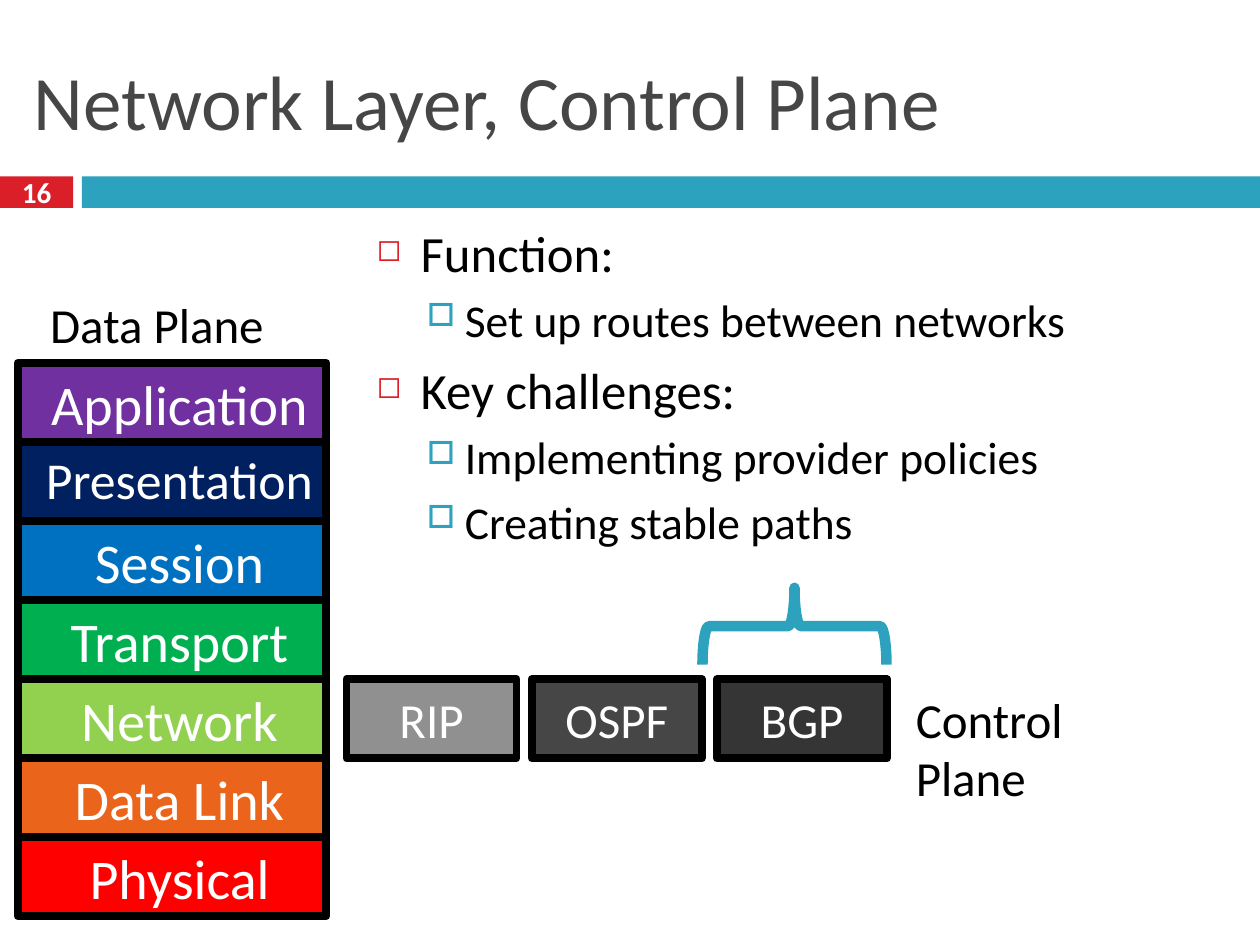
"""Build the slide on the network layer's control plane."""
from lxml import etree
from pptx import Presentation
from pptx.dml.color import RGBColor
from pptx.enum import shapes, text
from pptx.oxml import ns
from pptx.util import Inches, Pt

RECT = shapes.MSO_SHAPE.RECTANGLE
MID, TOP = text.MSO_ANCHOR.MIDDLE, text.MSO_ANCHOR.TOP
LEFT, CENTER = text.PP_ALIGN.LEFT, text.PP_ALIGN.CENTER
RED, TEAL, GREY = "DA1F28", "2DA2BF", "464646"
rgb = RGBColor.from_string

deck = Presentation()
deck.slide_width, deck.slide_height = Inches(10), Inches(7.5)
slide = deck.slides.add_slide(deck.slide_layouts[6])


def draw(kind, x, y, w, h, fill=None, line=None, wide=4.5):
    item = slide.shapes.add_shape(kind, Inches(x), Inches(y), Inches(w), Inches(h))
    item.shadow.inherit = False
    if fill:
        item.fill.solid()
        item.fill.fore_color.rgb = rgb(fill)
    else:
        item.fill.background()
    if line:
        item.line.color.rgb = rgb(line)
        item.line.width = Pt(wide)
    else:
        item.line.fill.background()
    return item


def write(item, words, size, color, align=LEFT, anchor=TOP):
    frame = item.text_frame
    frame.word_wrap = True
    frame.vertical_anchor = anchor
    para = frame.paragraphs[0]
    para.text = words
    para.alignment = align
    para.font.size = Pt(size)
    para.font.name = "Calibri"
    para.font.color.rgb = rgb(color)
    return para


num = draw(RECT, 0, 1.4, 0.58, 0.25, RED)
write(num, "16", 16.6, "FFFFFF", CENTER, MID).font.bold = True
draw(RECT, 0.65, 1.4, 9.35, 0.25, TEAL)

for words, x, y, w, h, size, color, anchor in [
    ("Network Layer, Control Plane", 0.17, 0.25, 9.67, 1.08, 44, GREY, MID),
    ("Control Plane", 7.17, 5.42, 2.2, 0.57, 28, "000000", TOP),
    ("Data Plane", 0.3, 2.29, 2.15, 0.57, 28, "000000", TOP),
]:
    box = slide.shapes.add_textbox(Inches(x), Inches(y), Inches(w), Inches(h))
    write(box, words, size, color, LEFT, anchor)

body = slide.shapes.add_textbox(Inches(2.89), Inches(1.71), Inches(6.95), Inches(2.96))
body.text_frame.word_wrap = True
# size, space before, margin, hanging indent, bullet, its colour and percent
looks = [
    (29, 7, 0.35, 0.35, "◻", RED, 60),
    (26, 5.5, 0.7, 0.3, "□", TEAL, 70),
]
points = [
    (0, "Function:"),
    (1, "Set up routes between networks"),
    (0, "Key challenges:"),
    (1, "Implementing provider policies"),
    (1, "Creating stable paths"),
]
for row, (level, words) in enumerate(points):
    size, gap, left, hang, mark, color, scale = looks[level]
    para = body.text_frame.paragraphs[0] if row == 0 else body.text_frame.add_paragraph()
    para.text = words
    para.level = level
    para.space_before = Pt(gap)
    para.font.size = Pt(size)
    para.font.name = "Calibri"
    para.font.color.rgb = rgb("000000")
    props = para._p.get_or_add_pPr()
    props.set("marL", str(Inches(left)))
    props.set("indent", str(-Inches(hang)))
    tint = etree.SubElement(props, ns.qn("a:buClr"))
    etree.SubElement(tint, ns.qn("a:srgbClr"), val=color)
    etree.SubElement(props, ns.qn("a:buSzPct"), val=str(scale * 1000))
    etree.SubElement(props, ns.qn("a:buChar"), char=mark)

layers = [
    ("Application", "7030A0", 32),
    ("Presentation", "002060", 29.6),
    ("Session", "0070C0", 32),
    ("Transport", "00B050", 32),
    ("Network", "92D050", 32),
    ("Data Link", "EB641B", 32),
    ("Physical", "FF0000", 32),
]
for row, (name, fill, size) in enumerate(layers):
    box = draw(RECT, 0.14, 2.88 + row * 0.627, 2.45, 0.63, fill, "000000")
    para = write(box, name, size, "FFFFFF", CENTER)
    para._p.get_or_add_pPr().set("marL", str(Inches(0.12)))

brace = draw(shapes.MSO_SHAPE.LEFT_BRACE, 6, 4.24, 0.61, 1.46, None, TEAL, 6)
brace.rotation = 90
brace.adjustments[0] = 0.083

for col, (name, fill) in enumerate([("RIP", "909090"), ("OSPF", GREY), ("BGP", "353535")]):
    box = draw(RECT, 2.75 + col * 1.47, 5.39, 1.35, 0.63, fill, "000000")
    write(box, name, 28, "FFFFFF", CENTER, MID)

deck.save("out.pptx")
